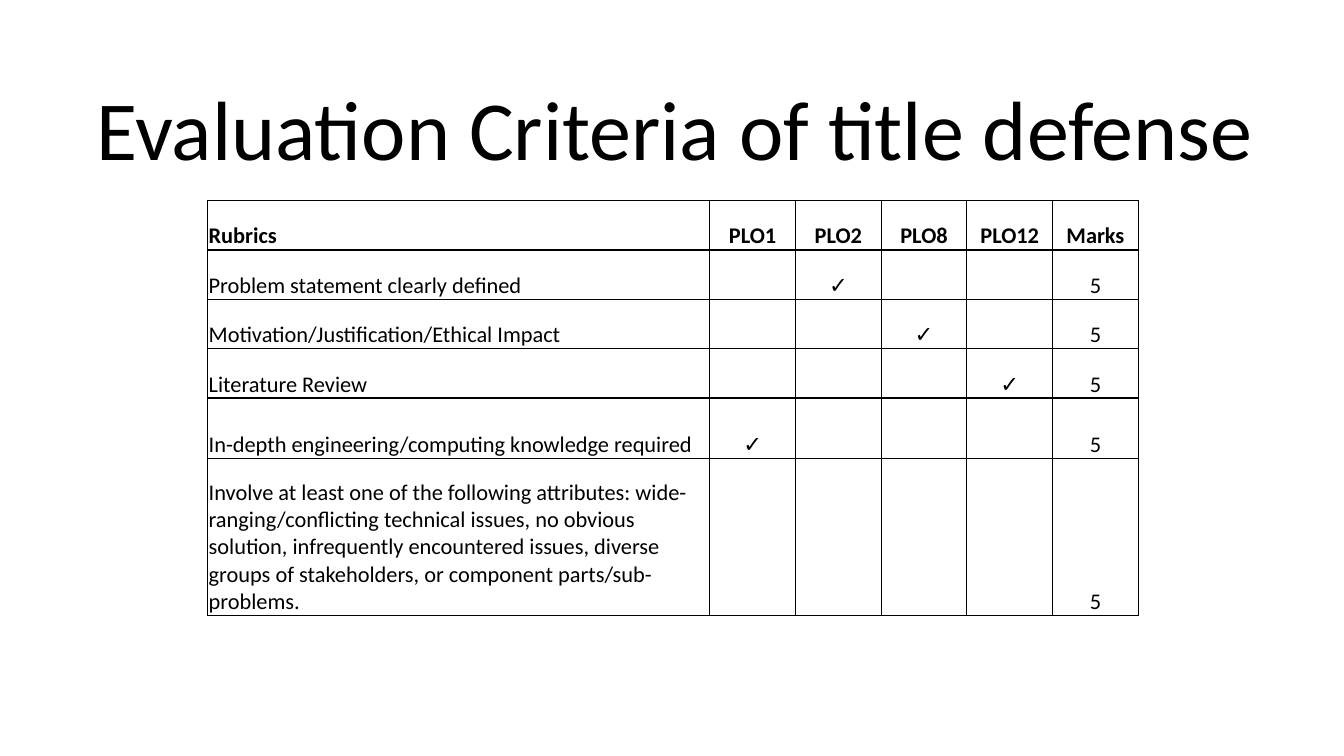
from dataclasses import dataclass

from lxml.etree import SubElement
from pptx import Presentation
from pptx.dml.color import RGBColor
from pptx.enum.text import MSO_ANCHOR as Anchor, MSO_AUTO_SIZE as AutoSize, PP_ALIGN as Align
from pptx.oxml.ns import qn
from pptx.slide import Slide
from pptx.table import _Cell as Cell
from pptx.text.text import _Paragraph as Paragraph
from pptx.util import Emu, Pt

BLACK = RGBColor(0x00, 0x00, 0x00)
FONT = "Calibri"
EMU_PER_PX = 9144  # 100 px to the inch
CHECK = "✓"
HEADINGS = ["Rubrics", "PLO1", "PLO2", "PLO8", "PLO12", "Marks"]
COLUMN_WIDTHS = [498] + [85] * 5
HEADER_HEIGHT = 49
CELL_FORMAT = {
    "vertical_anchor": Anchor.BOTTOM,
    "margin_left": Emu(EMU_PER_PX),
    "margin_right": Emu(EMU_PER_PX),
    "margin_top": Emu(EMU_PER_PX),
    "margin_bottom": Emu(0),
}


@dataclass
class Criterion:
    rubric: str
    outcome: str | None
    height: int = 49
    marks: int = 5

    def texts(self) -> list[str]:
        checks = [CHECK if heading == self.outcome else "" for heading in HEADINGS[1:-1]]
        return [self.rubric, *checks, str(self.marks)]


CRITERIA = [
    Criterion("Problem statement clearly defined", "PLO2"),
    Criterion("Motivation/Justification/Ethical Impact", "PLO8"),
    Criterion("Literature Review", "PLO12"),
    Criterion("In-depth engineering/computing knowledge required", "PLO1", 60),
    Criterion(
        "Involve at least one of the following attributes: wide-ranging/conﬂicting "
        "technical issues, no obvious solution, infrequently encountered issues, "
        "diverse groups of stakeholders, or component parts/sub-problems.",
        None,
        156,
    ),
]


def px(length: int) -> Emu:
    return Emu(length * EMU_PER_PX)


def write(para: Paragraph, text: str, size: int, align: Align, bold: bool = False) -> None:
    para.alignment = align
    span = para.add_run()
    span.text = text
    for name, value in {"name": FONT, "size": Pt(size), "bold": bold}.items():
        setattr(span.font, name, value)
    span.font.color.rgb = BLACK


def add_borders(cell: Cell) -> None:
    properties = cell._tc.get_or_add_tcPr()
    for side in ("a:lnL", "a:lnR", "a:lnT", "a:lnB"):
        line = SubElement(properties, qn(side), w=str(Pt(1)))
        fill = SubElement(line, qn("a:solidFill"))
        SubElement(fill, qn("a:srgbClr"), val=str(BLACK))


def add_title(page: Slide) -> None:
    box = page.shapes.title
    place = {"left": px(69), "top": px(57), "width": px(1200), "height": px(125)}
    for name, value in place.items():
        setattr(box, name, value)
    frame = box.text_frame
    layout = {"word_wrap": True, "auto_size": AutoSize.NONE, "vertical_anchor": Anchor.BOTTOM}
    for name, value in layout.items():
        setattr(frame, name, value)
    para = frame.paragraphs[0]
    para.line_spacing = 0.9
    write(para, "Evaluation Criteria of title defense", 60, Align.CENTER)


def add_criteria_table(page: Slide) -> None:
    rows = [HEADINGS] + [criterion.texts() for criterion in CRITERIA]
    heights = [HEADER_HEIGHT] + [criterion.height for criterion in CRITERIA]
    table = page.shapes.add_table(
        len(rows), len(HEADINGS), px(206), px(199), px(sum(COLUMN_WIDTHS)), px(sum(heights))
    ).table
    table.first_row = table.horz_banding = False
    for column, width in zip(table.columns, COLUMN_WIDTHS):
        column.width = px(width)
    for row_index, (texts, height) in enumerate(zip(rows, heights)):
        table.rows[row_index].height = px(height)
        for column_index, text in enumerate(texts):
            cell = table.cell(row_index, column_index)
            for name, value in CELL_FORMAT.items():
                setattr(cell, name, value)
            add_borders(cell)
            cell.fill.background()
            if text:
                align = Align.CENTER if column_index else Align.LEFT
                write(cell.text_frame.paragraphs[0], text, 16, align, bold=row_index == 0)


def main() -> None:
    deck = Presentation()
    deck.slide_width, deck.slide_height = px(1333), px(750)
    page = deck.slides.add_slide(deck.slide_layouts.get_by_name("Title Only"))
    add_criteria_table(page)
    add_title(page)
    deck.save("out.pptx")


if __name__ == "__main__":
    main()
